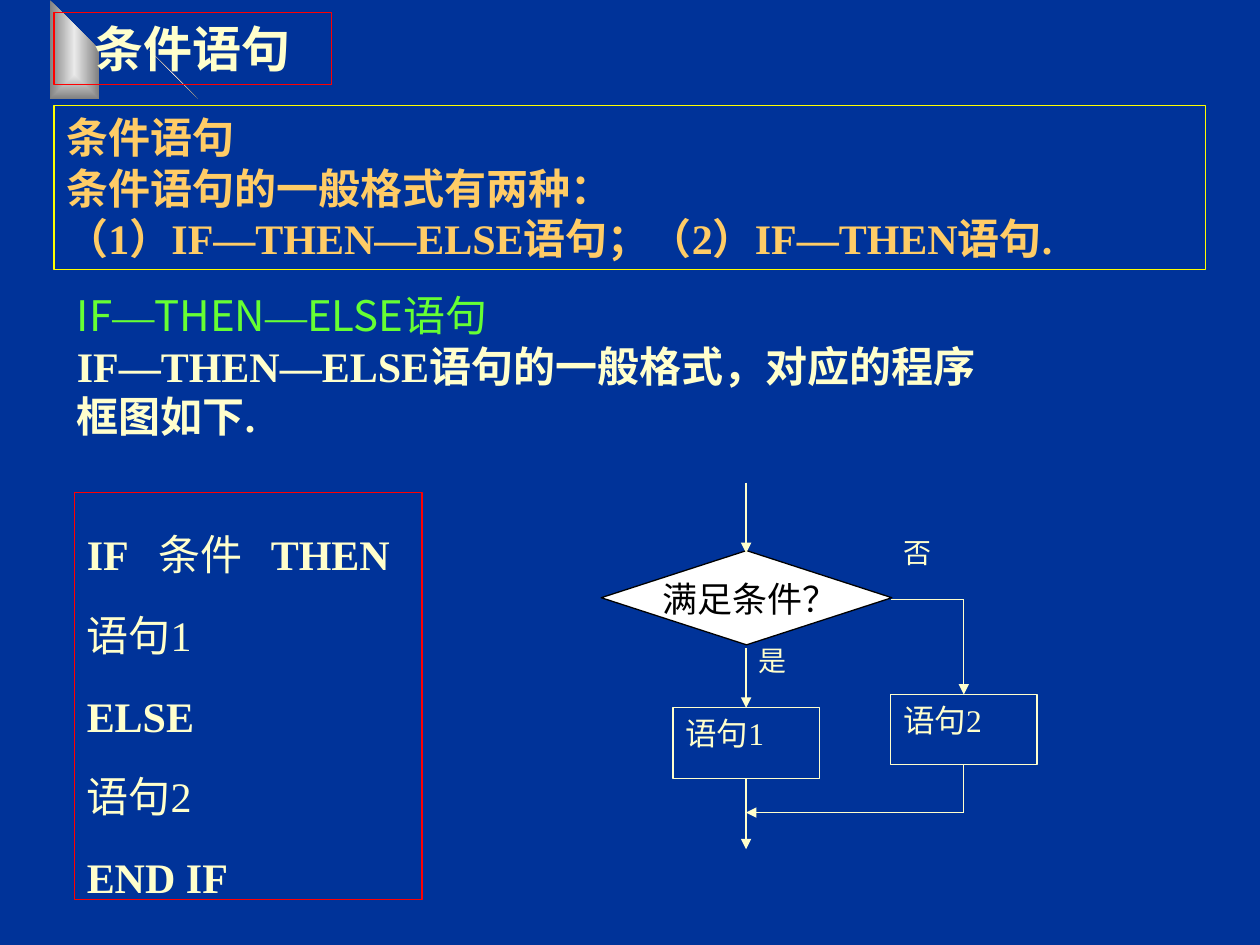
"""Build the slide on conditional statements with its IF-THEN-ELSE flowchart."""
from dataclasses import dataclass
from typing import Any

from lxml.etree import SubElement
from pptx import Presentation
from pptx.dml.color import RGBColor
from pptx.enum.shapes import MSO_CONNECTOR as Link, MSO_SHAPE as Preset
from pptx.enum.text import MSO_ANCHOR as Anchor, PP_ALIGN as Align
from pptx.oxml.ns import qn
from pptx.util import Cm, Pt

NAVY = RGBColor(0x00, 0x33, 0x99)
CREAM = RGBColor(0xFF, 0xFF, 0xCC)
ORANGE = RGBColor(0xFF, 0xCC, 0x66)
GREEN = RGBColor(0x66, 0xFF, 0x33)
YELLOW = RGBColor(0xFF, 0xFF, 0x00)
RED = RGBColor(0xFF, 0x00, 0x00)
WHITE = RGBColor(0xFF, 0xFF, 0xFF)
BLACK = RGBColor(0x00, 0x00, 0x00)
SILVER = RGBColor(0xEA, 0xEA, 0xEA)
GREY = RGBColor(0x80, 0x80, 0x80)

SMALL_STAR = [(3.3, 1.91), (3.12, 1.4), (2.84, 1.32), (3.02, 1.09), (2.87, 0.58),
              (3.12, 0.94), (3.33, 0.71), (3.3, 1.17), (3.58, 1.52), (3.3, 1.45)]
BIG_STAR = [(2.08, 2.39), (1.55, 1.65), (1.04, 1.7), (1.19, 1.22), (0.66, 0.48),
            (1.3, 0.91), (1.47, 0.43), (1.7, 1.17), (2.36, 1.6), (1.85, 1.65)]


@dataclass
class Board:
    slide: Any
    serif: str = "Times New Roman"
    sans: str = "Noto Sans CJK JP"
    stroke: Any = Pt(0.75)

    def style(self, font, size, color, bold=False, name=None):
        font.size, font.bold, font.name = Pt(size), bold, name or self.serif
        font.color.rgb = color

    def star(self, points):
        builder = self.slide.shapes.build_freeform(*points[0], scale=float(Cm(1)))
        builder.add_line_segments(points[1:], close=True)
        star = builder.convert_to_shape()
        star.shadow.inherit = False
        star.line.fill.background()
        star.fill.gradient()
        for stop, position, color in zip(star.fill.gradient_stops, (0, 1), (SILVER, GREY)):
            stop.position, stop.color.rgb = position, color
        gradient = star._element.spPr.find(qn("a:gradFill"))
        gradient.remove(gradient.find(qn("a:lin")))
        center = SubElement(gradient, qn("a:path"), {"path": "rect"})
        SubElement(center, qn("a:fillToRect"), dict.fromkeys("ltrb", "50000"))

    def outline(self, left, top, width, height, color, preset=Preset.RECTANGLE, fill=None):
        shape = self.slide.shapes.add_shape(preset, Cm(left), Cm(top), Cm(width), Cm(height))
        shape.shadow.inherit = False
        shape.line.color.rgb, shape.line.width = color, self.stroke
        if fill is None:
            shape.fill.background()
        else:
            shape.fill.solid()
            shape.fill.fore_color.rgb = fill
        return shape.text_frame

    def label(self, left, top, width, height):
        return self.slide.shapes.add_textbox(Cm(left), Cm(top), Cm(width), Cm(height)).text_frame

    def fill_text(self, frame, lines, size, color, bold=False, align=Align.LEFT):
        frame.word_wrap, frame.vertical_anchor = True, Anchor.TOP
        for index, line in enumerate(lines):
            paragraph = frame.add_paragraph() if index else frame.paragraphs[0]
            paragraph.text, paragraph.alignment = line, align
            self.style(paragraph.font, size, color, bold)

    def mix(self, paragraph, parts, size, color):
        for text, bold, name in parts:
            run = paragraph.add_run()
            run.text = text
            self.style(run.font, size, color, bold, name)

    def tabs(self, paragraph, *stops):
        tab_list = SubElement(paragraph._p.get_or_add_pPr(), qn("a:tabLst"))
        for stop in stops:
            SubElement(tab_list, qn("a:tab"), pos=str(Cm(stop)), algn="l")

    def line(self, start, end, arrow=True):
        line = self.slide.shapes.add_connector(Link.STRAIGHT, *map(Cm, start + end))
        line.line.color.rgb, line.line.width = CREAM, self.stroke
        if arrow:
            SubElement(line.line._get_or_add_ln(), qn("a:tailEnd"), type="triangle")
        SubElement(line._element.spPr, qn("a:effectLst"))


def draw_code(board):
    code = board.outline(1.5, 9.93, 7.01, 8.2, RED)
    lines = ["", "语句1", "ELSE", "语句2", "END IF"]
    board.fill_text(code, lines, 24, CREAM, align=Align.JUSTIFY)
    for paragraph, line in zip(code.paragraphs, lines):
        paragraph.line_spacing = 1.6
        paragraph.font.bold = line in ("ELSE", "END IF")
    condition = code.paragraphs[0]
    condition._p.pPr.remove(condition._p.pPr.find(qn("a:defRPr")))
    board.tabs(condition, 1.45, 3.71)
    board.mix(condition, [("IF\t", True, None), ("条件\t", False, None), ("THEN", True, None)],
              24, CREAM)


def draw_flowchart(board):
    main_x, branch_x, box_width, box_height = 15.04, 19.43, 2.95, 1.42
    test_y, yes_y, no_y, merge_y = 12.09, 14.27, 14, 16.38
    for text, left, top in (("否", 17.96, 10.67), ("是", main_x, 12.85)):
        board.fill_text(board.label(left, top, 1.47, 0.94), [text], 16, CREAM,
                        align=Align.JUSTIFY)
    board.outline(12.12, 11.1, 5.86, 1.9, BLACK, Preset.DIAMOND, WHITE)
    board.fill_text(board.label(13.11, 11.51, 4.39, 1.12), ["满足条件？"], 20, BLACK,
                    align=Align.JUSTIFY)
    for text, center, top in (("语句1", main_x, yes_y), ("语句2", branch_x, no_y)):
        box = board.outline(center - box_width / 2, top, box_width, box_height, CREAM)
        board.fill_text(box, [text], 18, CREAM, align=Align.JUSTIFY)
    for start, end in ((9.73, 11.15), (13.06, yes_y), (yes_y + box_height, 17.12)):
        board.line((main_x, start), (main_x, end))
    board.line((branch_x, test_y), (17.96, test_y), arrow=False)
    board.line((branch_x, test_y), (branch_x, no_y))
    board.line((branch_x, no_y + box_height), (branch_x, merge_y), arrow=False)
    board.line((branch_x, merge_y), (main_x, merge_y))


def main():
    deck = Presentation()
    deck.slide_width, deck.slide_height = Cm(25.4), Cm(19.05)
    board = Board(deck.slides.add_slide(deck.slide_layouts[6]))
    board.slide.background.fill.solid()
    board.slide.background.fill.fore_color.rgb = NAVY
    board.star(SMALL_STAR)
    board.star(BIG_STAR)
    board.fill_text(board.outline(1.09, 2.13, 23.22, 3.3, YELLOW),
                    ["条件语句", "条件语句的一般格式有两种：",
                     "（1）IF—THEN—ELSE语句；（2）IF—THEN语句."], 24, ORANGE, bold=True)
    draw_code(board)
    draw_flowchart(board)
    board.fill_text(board.outline(1.09, 0.25, 5.59, 1.45, RED), ["条件语句"], 28, CREAM,
                    bold=True, align=Align.CENTER)
    intro = board.label(1.3, 5.72, 19.41, 3.3)
    intro.word_wrap = True
    board.mix(intro.paragraphs[0],
              [("IF", False, board.sans), ("—", False, None), ("THEN", False, board.sans),
               ("—", False, None), ("ELSE语句", False, board.sans)], 24, GREEN)
    summary = intro.add_paragraph()
    summary.text = "IF—THEN—ELSE语句的一般格式，对应的程序框图如下."
    board.style(summary.font, 24, CREAM, bold=True)
    deck.save("out.pptx")


if __name__ == "__main__":
    main()
